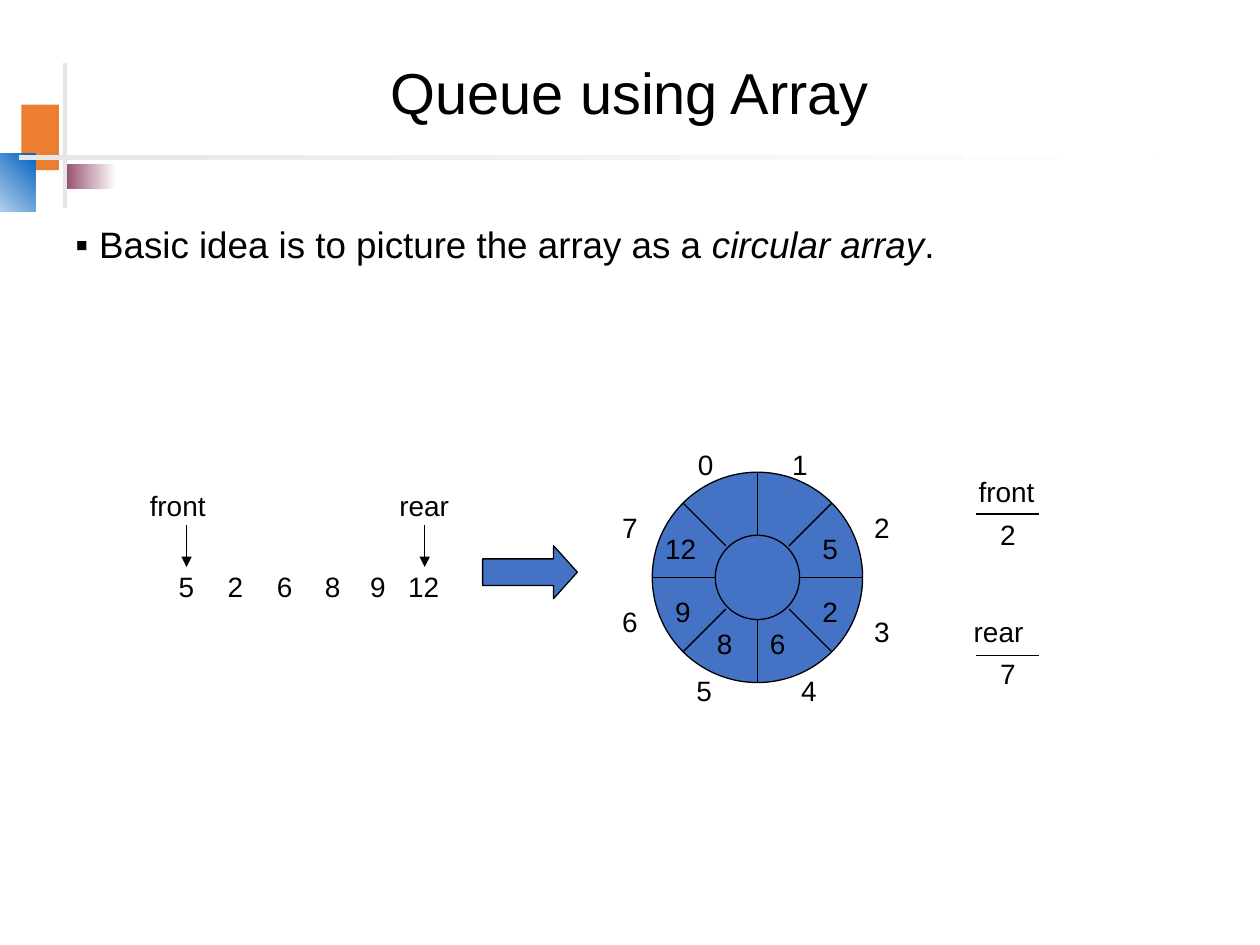
from dataclasses import dataclass
from math import cos, pi, sin

from lxml.etree import SubElement
from pptx import Presentation
from pptx.dml.color import RGBColor as Rgb
from pptx.enum.shapes import MSO_CONNECTOR as Connector, MSO_SHAPE as Preset
from pptx.enum.text import MSO_ANCHOR as Anchor, MSO_AUTO_SIZE as AutoSize, PP_ALIGN as Align
from pptx.oxml.ns import qn
from pptx.util import Cm, Pt


@dataclass(frozen=True)
class Theme:
    font: str = "Arial"
    title: float = 33
    body: float = 21
    label: float = 16
    stroke: float = 0.75
    ink: Rgb = Rgb.from_string("000000")
    paper: Rgb = Rgb.from_string("FFFFFF")
    ring: Rgb = Rgb.from_string("4472C4")
    orange: Rgb = Rgb.from_string("ED7D31")
    plum: Rgb = Rgb.from_string("954F72")
    blue: Rgb = Rgb.from_string("0563C1")
    grey: Rgb = Rgb.from_string("E7E6E6")


theme = Theme()


def write(parent, runs, x, y, width=0.84, height=0.94, size=theme.label, wrap=False):
    frame = parent.add_textbox(Cm(x), Cm(y), Cm(width), Cm(height)).text_frame
    frame.word_wrap = wrap
    frame.auto_size = AutoSize.NONE if wrap else AutoSize.SHAPE_TO_FIT_TEXT
    for text, italic in runs:
        run = frame.paragraphs[0].add_run()
        run.text = text
        run.font.name = theme.font
        run.font.size = Pt(size)
        run.font.italic = italic
        run.font.color.rgb = theme.ink
    return frame


def rule(parent, x1, y1, x2, y2, arrow=False):
    line = parent.add_connector(Connector.STRAIGHT, Cm(x1), Cm(y1), Cm(x2), Cm(y2))
    line.line.color.rgb = theme.ink
    line.line.width = Pt(theme.stroke)
    outline = line._element.spPr
    if arrow:
        SubElement(outline.get_or_add_ln(), qn("a:tailEnd"), type="triangle")
    SubElement(outline, qn("a:effectLst"))


deck = Presentation()
deck.slide_width, deck.slide_height = Cm(25.4), Cm(19.05)
slide = deck.slides.add_slide(deck.slide_layouts[6])
shapes = slide.shapes

for x, y, width, height, colors, angle in (
    (0.43, 2.11, 0.76, 1.32, (theme.orange,), 0),
    (1.32, 3.3, 1.02, 0.51, (theme.plum, theme.paper), 0),
    (-0.84, 3.1, 1.55, 1.17, (theme.paper, theme.blue), 45),
    (1.27, 1.27, 0.08, 2.92, (theme.grey,), 0),
    (0.38, 3.12, 22.86, 0.1, (theme.grey, theme.paper), 0),
):
    ornament = shapes.add_shape(Preset.RECTANGLE, Cm(x), Cm(y), Cm(width), Cm(height))
    ornament.shadow.inherit = False
    ornament.line.fill.background()
    if len(colors) == 1:
        ornament.fill.solid()
        ornament.fill.fore_color.rgb = colors[0]
    else:
        ornament.fill.gradient()
        ornament.fill.gradient_angle = angle
        for stop, color in zip(ornament.fill.gradient_stops, colors):
            stop.color.rgb = color

title = write(shapes, [("Queue using Array", False)], 1.27, 1.02, 22.86, 1.83, theme.title, True)
title.vertical_anchor = Anchor.MIDDLE
title.paragraphs[0].alignment = Align.CENTER
title.paragraphs[0].line_spacing = 0.9

idea_runs = [
    ("Basic idea is to picture the array as a ", False),
    ("circular array", True),
    (".", False),
]
idea = write(shapes, idea_runs, 1.27, 4.45, 22.86, 3.38, theme.body, True).paragraphs[0]
idea.line_spacing = 0.9
idea.space_before = Pt(7.5)
idea_format = idea._p.get_or_add_pPr()
idea_format.set("marL", str(Cm(0.48)))
idea_format.set("indent", str(-Cm(0.48)))
SubElement(idea_format, qn("a:buFont"), typeface=theme.font)
SubElement(idea_format, qn("a:buChar"), char="▪")

for pointer, x, width, arrow_x in (("front", 2.77, 1.65, 3.76), ("rear", 7.8, 1.55, 8.56)):
    write(shapes, [(pointer, False)], x, 9.73, width)
    rule(shapes, arrow_x, 10.59, arrow_x, 11.43, arrow=True)

queue = ("5", "2", "6", "8", "9", "12")
for value, x in zip(queue, (3.35, 4.34, 5.33, 6.3, 7.21, 7.98)):
    write(shapes, [(value, False)], x, 11.35, 0.52 + 0.32 * len(value))

for pointer, x, y, width, index, line_y in (
    ("front", 19.48, 9.45, 1.65, "2", 10.36),
    ("rear", 19.38, 12.27, 1.55, "7", 13.21),
):
    write(shapes, [(pointer, False)], x, y, width)
    write(shapes, [(index, False)], 19.91, y + 0.85)
    rule(shapes, 19.67, line_y, 20.94, line_y)

becomes = shapes.add_shape(Preset.RIGHT_ARROW, Cm(9.73), Cm(11), Cm(1.91), Cm(1.07))
becomes.adjustments[1] = 0.45

ring = shapes.add_group_shape().shapes
center_x, center_y = 15.27, 11.64
outer, inner = 2.12, 0.85
circles = [
    ring.add_shape(
        Preset.OVAL, Cm(center_x - radius), Cm(center_y - radius), Cm(2 * radius), Cm(2 * radius)
    )
    for radius in (outer, inner)
]
for outlined in (becomes, *circles):
    outlined.shadow.inherit = False
    outlined.fill.solid()
    outlined.fill.fore_color.rgb = theme.ring
    outlined.line.color.rgb = theme.ink
    outlined.line.width = Pt(theme.stroke)

for spoke in range(8):
    across, down = cos(spoke * pi / 4), sin(spoke * pi / 4)
    start = 0.9 if spoke % 2 else inner
    rule(
        ring,
        center_x + start * across,
        center_y + start * down,
        center_x + outer * across,
        center_y + outer * down,
    )

index_spots = (
    (13.82, 8.89), (15.72, 8.89), (17.37, 10.16), (17.37, 12.27),
    (15.9, 13.46), (13.79, 13.46), (12.29, 12.07), (12.29, 10.16),
)
for index, (x, y) in enumerate(index_spots):
    write(ring, [(str(index), False)], x, y)

cell_spots = (
    (16.33, 10.59), (16.33, 11.86), (15.27, 12.5),
    (14.2, 12.5), (13.36, 11.86), (13.16, 10.59),
)
for value, (x, y) in zip(queue, cell_spots):
    write(ring, [(value, False)], x, y, 0.52 + 0.32 * len(value))

deck.save("out.pptx")
